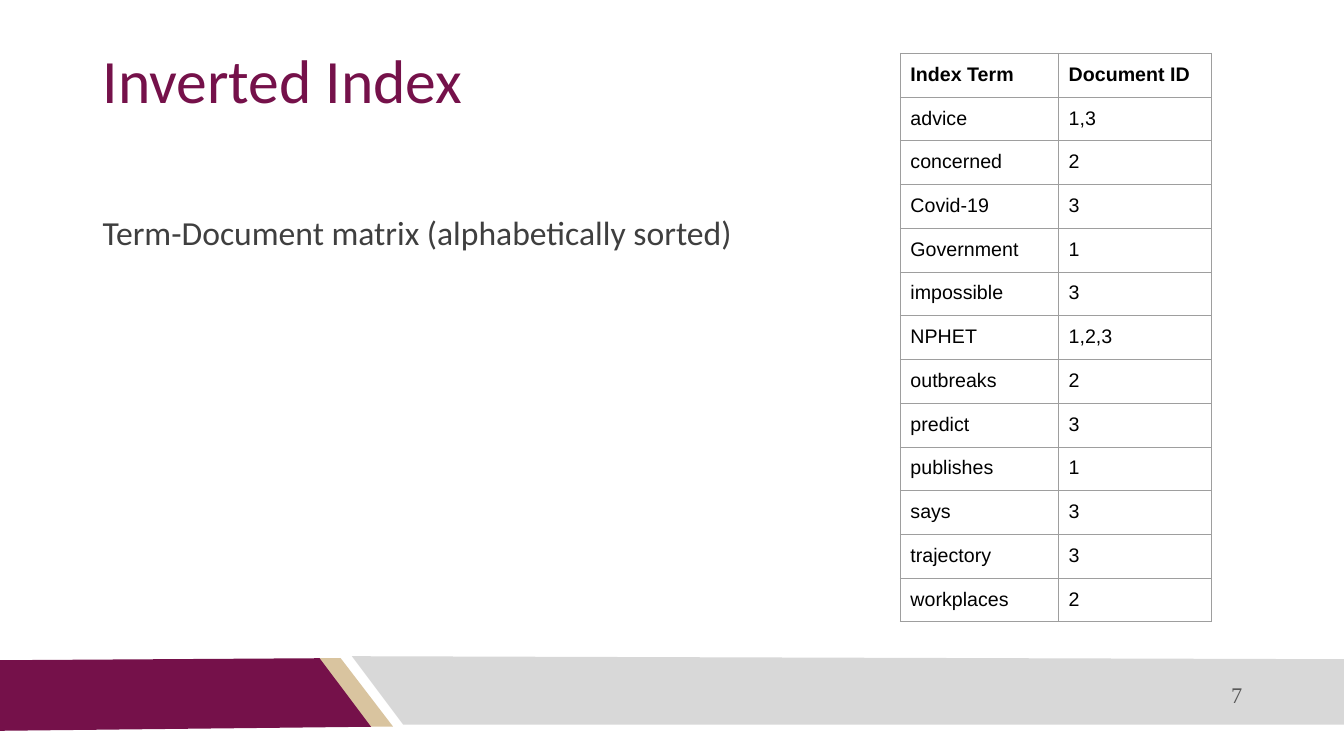
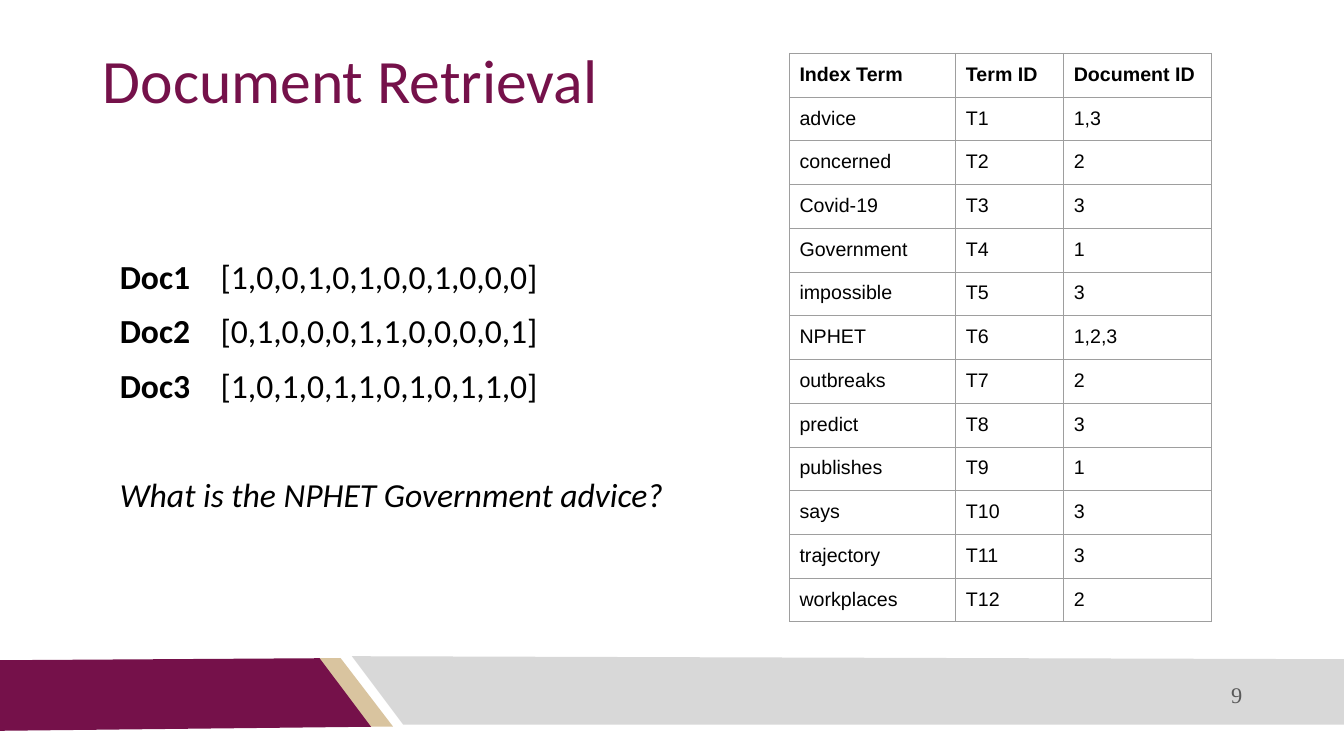
from dataclasses import dataclass

from lxml.etree import SubElement
from pptx import Presentation
from pptx.dml.color import RGBColor
from pptx.enum.text import MSO_ANCHOR, PP_ALIGN
from pptx.oxml.ns import qn
from pptx.util import Inches, Pt


@dataclass(frozen=True)
class Theme:
    plum: str = "75114A"
    sand: str = "D9C49F"
    silver: str = "D8D8D8"
    black: str = "000000"
    body: str = "3F3F3F"
    number: str = "595959"
    grid: str = "9E9E9E"
    text_font: str = "Calibri"
    table_font: str = "Arial"
    number_font: str = "Times New Roman"
    title_size: int = 44
    body_size: int = 24
    number_size: int = 16
    table_size: int = 14
    grid_width: float = 0.75


THEME = Theme()
BLANK_LAYOUT = 6
TABLE_TOP, TABLE_RIGHT, TABLE_HEIGHT, HEADER_HEIGHT = 0.53, 12.02, 5.62, 0.42
BANDS = [
    (THEME.sand, [(3.16, 6.53), (3.38, 6.53), (3.9, 7.21), (3.67, 7.21)]),
    (THEME.plum, [(0, 6.55), (3.17, 6.53), (3.68, 7.21), (0, 7.25)]),
    (THEME.silver, [(3.49, 6.51), (13.33, 6.54), (13.33, 7.19), (4, 7.19)]),
]
POSTINGS = [
    ("advice", "1,3"),
    ("concerned", "2"),
    ("Covid-19", "3"),
    ("Government", "1"),
    ("impossible", "3"),
    ("NPHET", "1,2,3"),
    ("outbreaks", "2"),
    ("predict", "3"),
    ("publishes", "1"),
    ("says", "3"),
    ("trajectory", "3"),
    ("workplaces", "2"),
]
VECTORS = [
    ("Doc1", "[1,0,0,1,0,1,0,0,1,0,0,0]"),
    ("Doc2", "[0,1,0,0,0,1,1,0,0,0,0,1]"),
    ("Doc3", "[1,0,1,0,1,1,0,1,0,1,1,0]"),
]


def add_span(para, text, *, size=THEME.body_size, color=THEME.black,
             font=THEME.text_font, bold=False, italic=False):
    span = para.add_run()
    span.text = text
    span.font.name = font
    span.font.size = Pt(size)
    span.font.bold = bold
    span.font.italic = italic
    span.font.color.rgb = RGBColor.from_string(color)


def add_tab_stop(para, position):
    tabs = SubElement(para._p.get_or_add_pPr(), qn("a:tabLst"))
    SubElement(tabs, qn("a:tab"), pos=str(Inches(position)), algn="l")


def set_borders(cell, color, width):
    properties = cell._tc.get_or_add_tcPr()
    for position, side in enumerate(("lnL", "lnR", "lnT", "lnB")):
        line = SubElement(properties, qn(f"a:{side}"), w=str(Pt(width)))
        fill = SubElement(line, qn("a:solidFill"))
        SubElement(fill, qn("a:srgbClr"), val=color)
        properties.insert(position, line)


class DeckBuilder:
    """Holds the deck, its theme and the slide being filled."""

    def __init__(self, theme):
        self.theme = theme
        self.deck = Presentation()
        self.deck.slide_width = Inches(13.33)
        self.deck.slide_height = Inches(7.5)
        self.page = None

    def start_page(self, title, number):
        theme = self.theme
        self.page = self.deck.slides.add_slide(self.deck.slide_layouts[BLANK_LAYOUT])
        for color, points in BANDS:
            self.add_band(color, points)

        para = self.add_box(0.92, 0.4, 11.5, 1.45).paragraphs[0]
        para.line_spacing = 0.9
        add_span(para, title, size=theme.title_size, color=theme.plum)

        frame = self.add_box(7.92, 6.69, 4.5, 0.4, inset=0.05)
        frame.vertical_anchor = MSO_ANCHOR.MIDDLE
        para = frame.paragraphs[0]
        para.alignment = PP_ALIGN.RIGHT
        add_span(para, str(number), size=theme.number_size, color=theme.number,
                 font=theme.number_font)

    def add_band(self, color, points):
        start, *others = [(Inches(x), Inches(y)) for x, y in points]
        builder = self.page.shapes.build_freeform(*start)
        builder.add_line_segments(others, close=True)
        band = builder.convert_to_shape()
        band.shadow.inherit = False
        band.fill.solid()
        band.fill.fore_color.rgb = RGBColor.from_string(color)
        band.line.fill.background()

    def add_box(self, left, top, width, height, inset=0.1):
        """Add a text box and return its text frame; inset is top and bottom."""
        box = self.page.shapes.add_textbox(
            Inches(left), Inches(top), Inches(width), Inches(height))
        frame = box.text_frame
        frame.word_wrap = True
        frame.margin_left = frame.margin_right = Inches(0.1)
        frame.margin_top = frame.margin_bottom = Inches(inset)
        return frame

    def add_index_table(self, header, records, widths):
        """Add a table whose right edge is the same on every page."""
        rows = [header, *records]
        width = sum(widths)
        table = self.page.shapes.add_table(
            len(rows), len(widths), Inches(TABLE_RIGHT - width), Inches(TABLE_TOP),
            Inches(width), Inches(TABLE_HEIGHT)).table
        table.first_row = table.horz_banding = False
        for column, column_width in zip(table.columns, widths):
            column.width = Inches(column_width)
        record_height = (TABLE_HEIGHT - HEADER_HEIGHT) / len(records)
        for index, values in enumerate(rows):
            table.rows[index].height = Inches(record_height if index else HEADER_HEIGHT)
            for cell, value in zip(table.rows[index].cells, values):
                self.fill_cell(cell, value, bold=index == 0)

    def fill_cell(self, cell, text, bold):
        theme = self.theme
        cell.margin_left = cell.margin_right = Inches(0.1)
        cell.margin_top = cell.margin_bottom = Inches(0.1)
        cell.fill.background()
        set_borders(cell, theme.grid, theme.grid_width)
        add_span(cell.text_frame.paragraphs[0], text, size=theme.table_size,
                 font=theme.table_font, bold=bold)


def add_inverted_index(builder):
    builder.start_page("Inverted Index", 7)
    builder.add_index_table(("Index Term", "Document ID"), POSTINGS, (1.57, 1.52))
    para = builder.add_box(0.92, 2, 7.08, 4.17).paragraphs[0]
    add_span(para, "Term-Document matrix (alphabetically sorted)",
             color=builder.theme.body)


def add_document_retrieval(builder):
    builder.start_page("Document Retrieval", 9)
    records = [(term, f"T{number}", documents)
               for number, (term, documents) in enumerate(POSTINGS, start=1)]
    builder.add_index_table(("Index Term", "Term ID", "Document ID"), records,
                            (1.65, 1.07, 1.47))

    frame = builder.add_box(1.09, 2.49, 5.97, 3.23, inset=0.05)
    for index, (name, vector) in enumerate(VECTORS):
        para = frame.add_paragraph() if index else frame.paragraphs[0]
        para.space_before = Pt(10 if index else 0)
        add_tab_stop(para, 1)
        add_span(para, name, bold=True)
        add_span(para, f"\t{vector}")
    question = frame.add_paragraph()
    question.space_before = Pt(49)
    add_span(question, "What is the NPHET Government advice?", italic=True)


def main():
    builder = DeckBuilder(THEME)
    add_inverted_index(builder)
    add_document_retrieval(builder)
    builder.deck.save("out.pptx")


if __name__ == "__main__":
    main()
